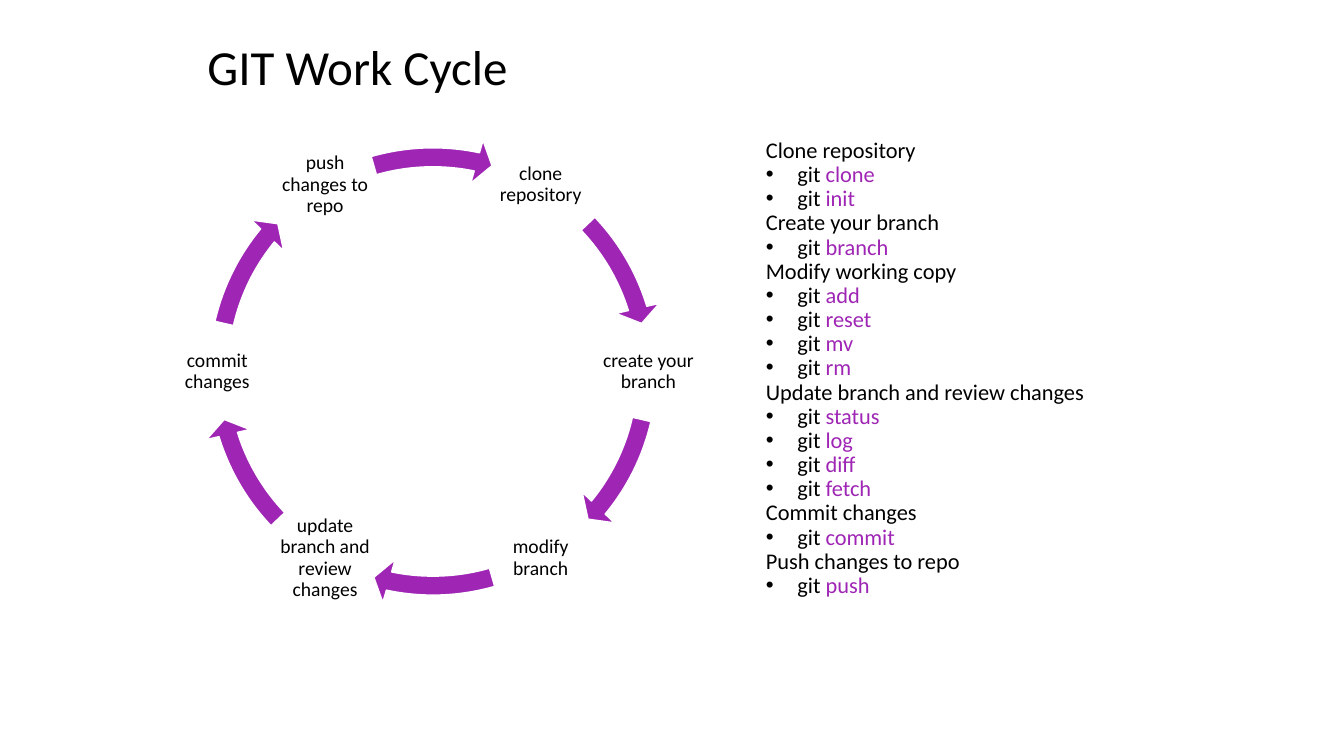
import math

from lxml import etree
from pptx import Presentation
from pptx.dml.color import RGBColor
from pptx.enum import shapes, text
from pptx.oxml import ns
from pptx.util import Pt

FONT = "Calibri"
BLACK, PURPLE, WHITE = "000000", "9F26B5", "FFFFFF"

STEPS = [
    ("clone repository", 316.39, 342.88),
    ("create your branch", 12.95, 39.44),
    ("modify branch", 73.98, 101.84),
    ("update branch and review changes", 136.39, 162.88),
    ("commit changes", 192.95, 219.44),
    ("push changes to repo", 253.98, 281.84),
]
COMMANDS = {
    "Clone repository": ["clone", "init"],
    "Create your branch": ["branch"],
    "Modify working copy": ["add", "reset", "mv", "rm"],
    "Update branch and review changes": ["status", "log", "diff", "fetch"],
    "Commit changes": ["commit"],
    "Push changes to repo": ["push"],
}


def colour(value):
    return RGBColor.from_string(value)


def style_run(run, size, value=BLACK):
    run.font.name = FONT
    run.font.size = Pt(size)
    run.font.color.rgb = colour(value)


def add_bullet(paragraph):
    properties = paragraph._p.get_or_add_pPr()
    properties.set("marL", str(Pt(22.5)))
    properties.set("indent", str(Pt(-22.5)))
    etree.SubElement(properties, ns.qn("a:buFont")).set("typeface", "Arial")
    etree.SubElement(properties, ns.qn("a:buChar")).set("char", "•")


def place_title(slide, left, top, width, height):
    title = slide.shapes.title
    title.left, title.top = Pt(left), Pt(top)
    title.width, title.height = Pt(width), Pt(height)
    frame = title.text_frame
    frame.text = "GIT Work Cycle"
    frame.auto_size = text.MSO_AUTO_SIZE.NONE
    frame.vertical_anchor = text.MSO_ANCHOR.TOP
    paragraph = frame.paragraphs[0]
    paragraph.alignment = text.PP_ALIGN.LEFT
    paragraph.line_spacing = 0.9
    style_run(paragraph.runs[0], 35)


def add_step_label(group, label, center_x, center_y, size):
    box = group.shapes.add_textbox(
        Pt(center_x - size / 2), Pt(center_y - size / 2), Pt(size), Pt(size))
    frame = box.text_frame
    frame.text = label
    frame.word_wrap = True
    frame.vertical_anchor = text.MSO_ANCHOR.MIDDLE
    frame.margin_left = frame.margin_right = Pt(1.4)
    frame.margin_top = frame.margin_bottom = Pt(1.4)
    paragraph = frame.paragraphs[0]
    paragraph.alignment = text.PP_ALIGN.CENTER
    paragraph.line_spacing = 0.9
    style_run(paragraph.runs[0], 14)


def add_cycle_arrow(group, left, top, size, start, end):
    arrow = group.shapes.add_shape(
        shapes.MSO_SHAPE.CIRCULAR_ARROW, Pt(left), Pt(top), Pt(size), Pt(size))
    settings = [0.04, 2.5, end * 0.6, start * 0.6, 0.047]
    for index, setting in enumerate(settings):
        arrow.adjustments[index] = setting
    arrow.shadow.inherit = False
    arrow.fill.solid()
    arrow.fill.fore_color.rgb = colour(PURPLE)
    arrow.line.color.rgb = colour(WHITE)
    arrow.line.width = Pt(1)


def add_cycle(slide, left, top, size):
    group = slide.shapes.add_group_shape()
    center_x, center_y = left + size / 2, top + size / 2
    radius = size * 0.456
    for index, (label, start, end) in enumerate(STEPS):
        angle = math.radians(60 * index - 60)
        add_step_label(group, label, center_x + radius * math.cos(angle),
                       center_y + radius * math.sin(angle), 69)
        add_cycle_arrow(group, left, top, size, start, end)


def add_command_list(slide, left, top, width, height):
    box = slide.shapes.add_textbox(Pt(left), Pt(top), Pt(width), Pt(height))
    frame = box.text_frame
    frame.word_wrap = True
    frame.auto_size = text.MSO_AUTO_SIZE.SHAPE_TO_FIT_TEXT
    lines = []
    for heading, commands in COMMANDS.items():
        lines.append([(heading, BLACK)])
        lines += [[("git ", BLACK), (command, PURPLE)] for command in commands]
    for index, line in enumerate(lines):
        paragraph = frame.add_paragraph() if index else frame.paragraphs[0]
        if len(line) > 1:
            add_bullet(paragraph)
        paragraph.line_spacing = 0.9
        for words, value in line:
            run = paragraph.add_run()
            run.text = words
            style_run(run, 16, value)


def main():
    presentation = Presentation()
    presentation.slide_width, presentation.slide_height = Pt(960), Pt(540)
    slide = presentation.slides.add_slide(presentation.slide_layouts[5])
    place_title(slide, 141, 27.4, 683, 41)
    add_command_list(slide, 540, 95.8, 290, 338)
    add_cycle(slide, 140.4, 96.5, 337.7)
    presentation.save("out.pptx")


if __name__ == "__main__":
    main()
